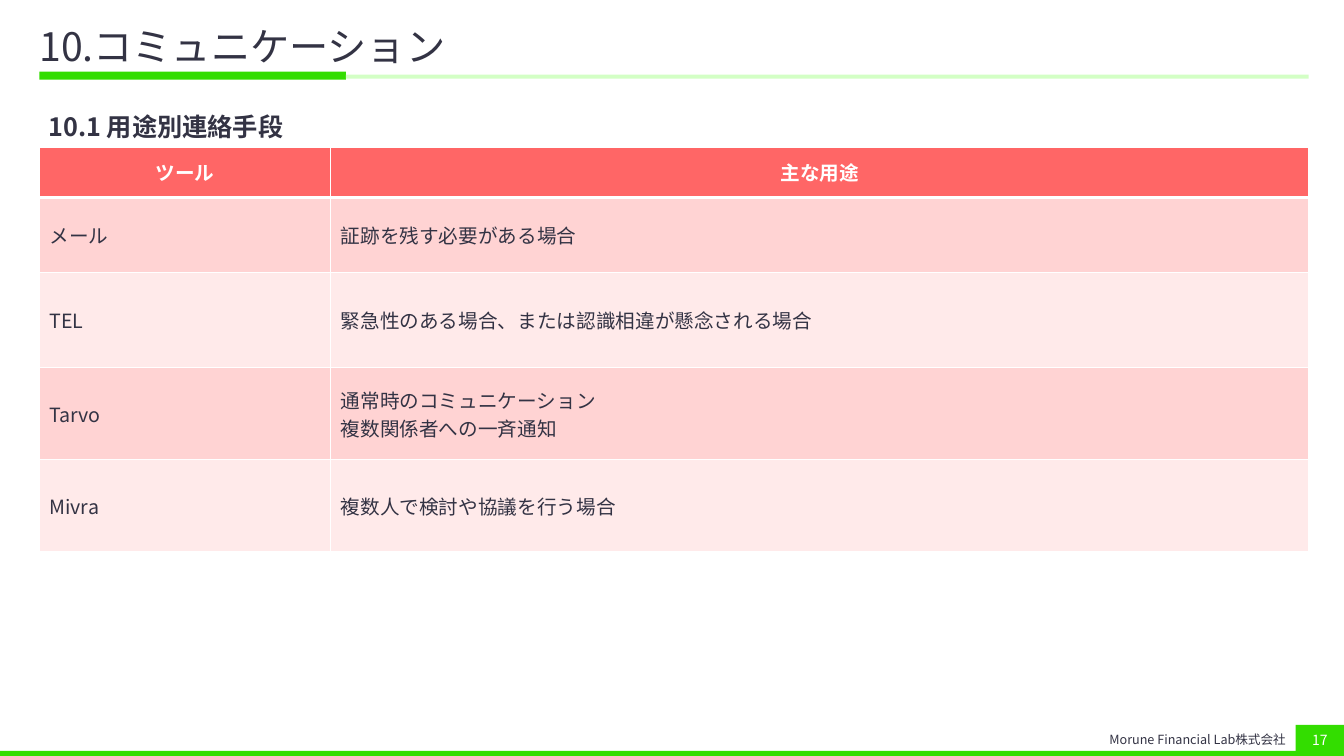
from lxml import etree
from pptx import Presentation
from pptx.dml.color import RGBColor
from pptx.enum.shapes import MSO_SHAPE
from pptx.enum.text import MSO_ANCHOR, MSO_AUTO_SIZE, PP_ALIGN
from pptx.oxml.ns import qn
from pptx.util import Pt

RECTANGLE = MSO_SHAPE.RECTANGLE
MIDDLE, TOP = MSO_ANCHOR.MIDDLE, MSO_ANCHOR.TOP
LEFT, CENTER, RIGHT = PP_ALIGN.LEFT, PP_ALIGN.CENTER, PP_ALIGN.RIGHT
NO_AUTOFIT = MSO_AUTO_SIZE.NONE

PX = 9144  # EMU per px, 100 px to the inch
FONT = "Noto Sans CJK JP"
INK, WHITE = "333344", "FFFFFF"
GREEN, PALE_GREEN = "33DD00", "D3FFC5"
HEADER_RED, BAND_FILLS = "FF6666", ("FFD3D3", "FFEAEA")

COLUMN_WIDTHS = (289, 970)
ROW_HEIGHTS = (50, 74, 95, 91, 91)
TOOL_ROWS = (
    ("ツール", "主な用途"),
    ("メール", "証跡を残す必要がある場合"),
    ("TEL", "緊急性のある場合、または認識相違が懸念される場合"),
    ("Tarvo", "通常時のコミュニケーション\n複数関係者への一斉通知"),
    ("Mivra", "複数人で検討や協議を行う場合"),
)


def px(*lengths):
    return [length * PX for length in lengths]


def color(hex_string):
    return RGBColor.from_string(hex_string)


def place(shape, box):
    shape.left, shape.top, shape.width, shape.height = px(*box)


def write(frame, text, size, ink=INK, bold=False, align=LEFT):
    """Fill a text frame and format every run in it."""
    frame.text = text
    frame.word_wrap = True
    for para in frame.paragraphs:
        para.alignment = align
        for span in para.runs:
            font = span.font
            font.size, font.bold, font.name = Pt(size), bold, FONT
            font.color.rgb = color(ink)
            east_asian = etree.SubElement(span._r.get_or_add_rPr(), qn("a:ea"))
            east_asian.set("typeface", FONT)


def add_bar(page, box, fill):
    bar = page.shapes.add_shape(RECTANGLE, *px(*box))
    bar.shadow.inherit = False
    bar.fill.solid()
    bar.fill.fore_color.rgb = color(fill)
    bar.line.fill.background()
    return bar


def fill_title(title, text):
    place(title, (39, 20, 1259, 56))
    frame = title.text_frame
    write(frame, text, 28)
    frame.auto_size = NO_AUTOFIT
    frame.vertical_anchor = MIDDLE
    frame.margin_left, frame.margin_right = px(0, 16)
    frame.paragraphs[0].line_spacing = 0.9


def fill_subheading(body, text):
    place(body, (38, 97, 1260, 611))
    frame = body.text_frame
    write(frame, text, 18, bold=True)
    frame.auto_size = NO_AUTOFIT
    frame.vertical_anchor = TOP
    para = frame.paragraphs[0]
    para.line_spacing, para.space_before = Pt(28), Pt(10)
    properties = para._p.get_or_add_pPr()
    properties.set("marL", "0")
    properties.set("indent", "0")
    etree.SubElement(properties, qn("a:buNone"))


def add_borders(cell, bottom_points):
    """Draw white lines round a cell, the lower one in its own width."""
    properties = cell._tc.get_or_add_tcPr()
    for side, points in (("L", 1), ("R", 1), ("T", 1), ("B", bottom_points)):
        line = etree.SubElement(properties, qn("a:ln" + side), w=str(Pt(points)))
        fill = etree.SubElement(line, qn("a:solidFill"))
        etree.SubElement(fill, qn("a:srgbClr"), val=WHITE)


def fill_cell(cell, text, is_header, fill):
    if is_header:
        write(cell.text_frame, text, 14, WHITE, True, CENTER)
    else:
        write(cell.text_frame, text, 14)
    cell.vertical_anchor = MIDDLE
    add_borders(cell, 3 if is_header else 1)
    cell.fill.solid()
    cell.fill.fore_color.rgb = color(fill)


def add_tool_table(page, left, top):
    box = px(left, top, sum(COLUMN_WIDTHS), sum(ROW_HEIGHTS))
    table = page.shapes.add_table(len(TOOL_ROWS), len(COLUMN_WIDTHS), *box).table
    for column, width in zip(table.columns, px(*COLUMN_WIDTHS)):
        column.width = width
    for row, height in zip(table.rows, px(*ROW_HEIGHTS)):
        row.height = height
    for index, texts in enumerate(TOOL_ROWS):
        is_header = index == 0
        fill = HEADER_RED if is_header else BAND_FILLS[(index - 1) % 2]
        for cell, text in zip(table.rows[index].cells, texts):
            fill_cell(cell, text, is_header, fill)


def add_footer(page, company, number):
    add_bar(page, (0, 745, 1333, 5), GREEN)
    label = page.shapes.add_textbox(*px(1086, 720, 199, 27))
    write(label.text_frame, company, 9, align=RIGHT)
    label.text_frame.vertical_anchor = MIDDLE
    badge = add_bar(page, (1285, 719, 48, 31), GREEN)
    write(badge.text_frame, number, 10, WHITE, align=CENTER)
    badge.text_frame.vertical_anchor = MIDDLE


def main():
    deck = Presentation()
    deck.slide_width, deck.slide_height = px(1333, 750)
    page = deck.slides.add_slide(deck.slide_layouts[1])
    title, body = page.placeholders
    add_bar(page, (39, 71, 304, 8), GREEN)
    add_bar(page, (343, 74, 955, 4), PALE_GREEN)
    fill_title(title, "10.コミュニケーション")
    add_footer(page, "Morune Financial Lab株式会社", "17")
    add_tool_table(page, 39, 146)
    fill_subheading(body, "10.1 用途別連絡手段")
    deck.save("out.pptx")


if __name__ == "__main__":
    main()
